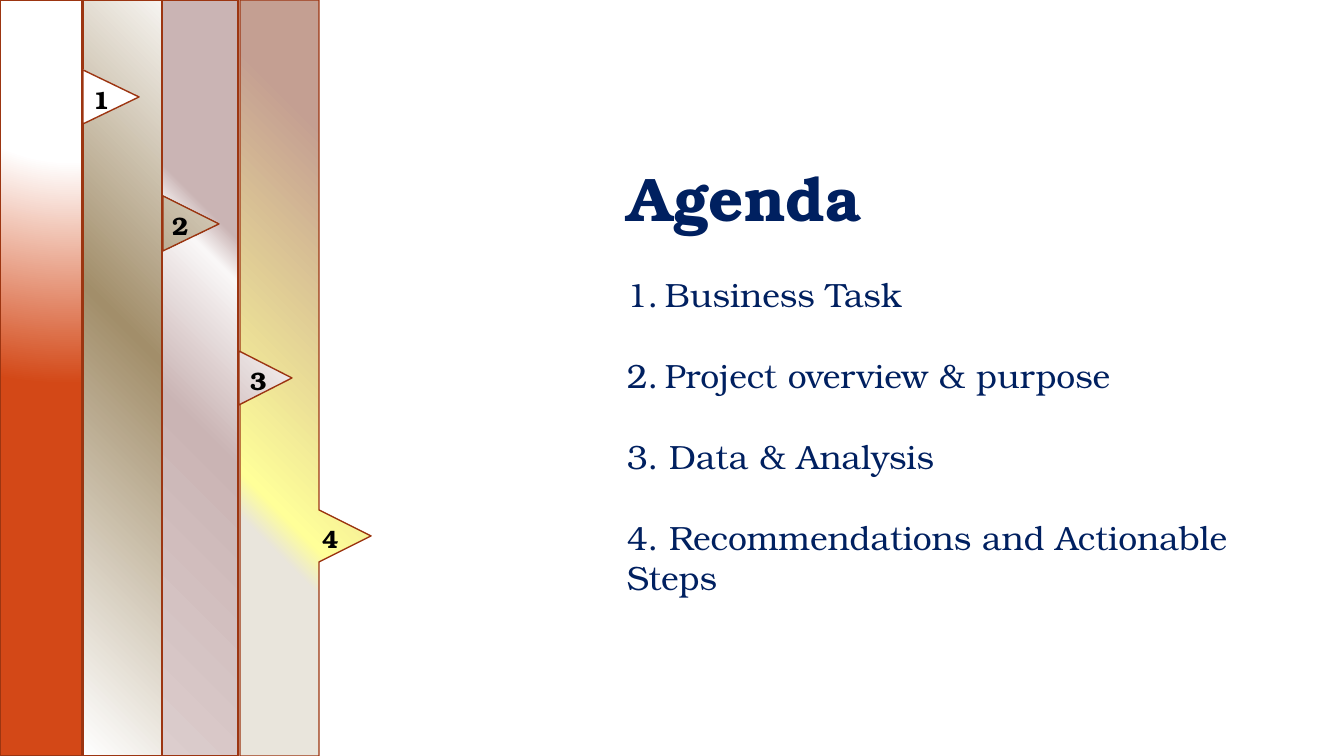
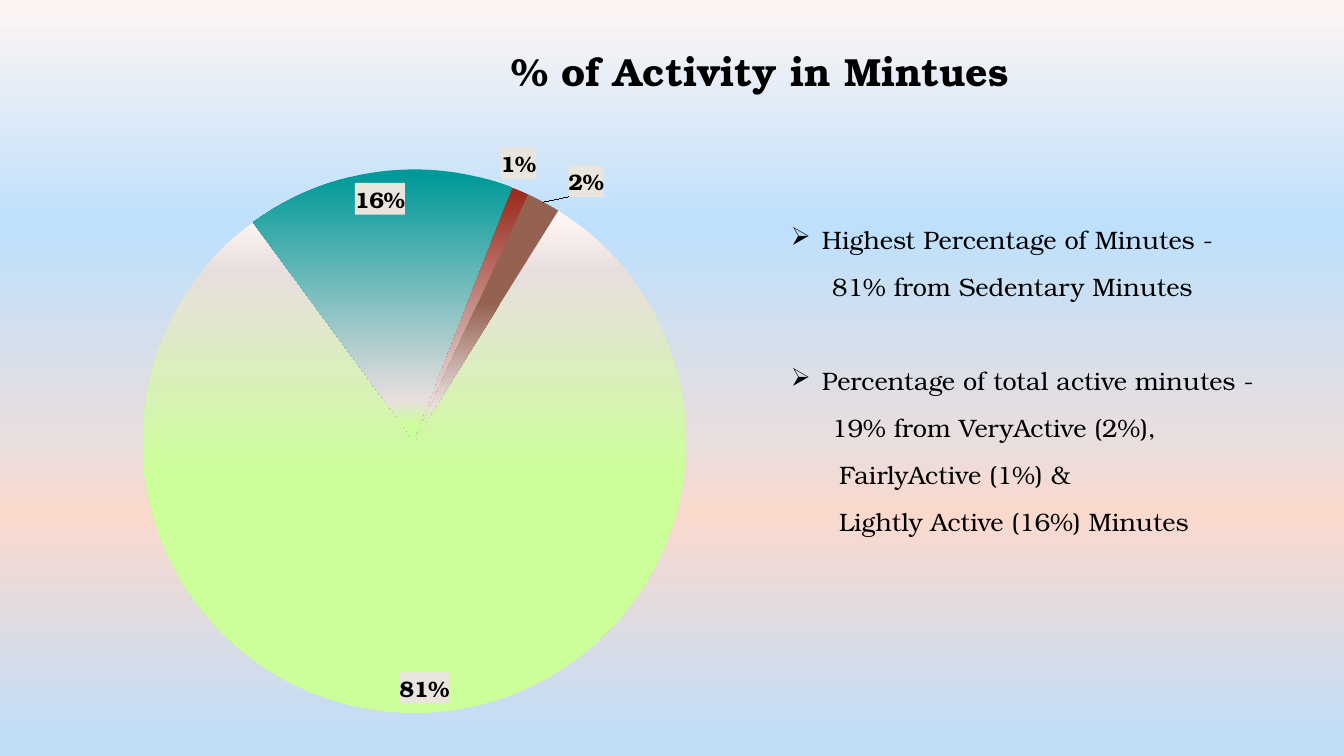
from copy import deepcopy

from lxml import etree
from pptx import Presentation
from pptx.chart.data import CategoryChartData
from pptx.dml.color import RGBColor
from pptx.enum.chart import XL_CHART_TYPE, XL_LABEL_POSITION
from pptx.enum.text import MSO_ANCHOR, MSO_AUTO_SIZE, PP_ALIGN
from pptx.oxml import parse_xml
from pptx.oxml.ns import nsdecls, qn
from pptx.util import Pt

PIE = XL_CHART_TYPE.PIE
BEST_FIT = XL_LABEL_POSITION.BEST_FIT
TOP = MSO_ANCHOR.TOP
FIXED = MSO_AUTO_SIZE.NONE
LEFT, CENTER = PP_ALIGN.LEFT, PP_ALIGN.CENTER

PX = 914400 / 100.8
SLIDE_SIZE = (1344, 756)

THEME = {
    "font": "TeX Gyre Bonum",
    "navy": "002060",
    "black": "000000",
    "rust": "9C3511",
    "sand": "E9E5DC",
    "agenda_title": 44,
    "chart_title": 28,
    "agenda_item": 24,
    "finding": 18,
    "tab_number": 18,
    "chart": 10,
    "chart_label": 16,
}

AGENDA = {
    "title": "Agenda",
    "title_box": (617, 155, 683, 84),
    "items_box": (617, 269, 683, 338),
    "items": [
        {"text": "Business Task", "number": 1, "margin": 38, "hang": 38},
        {"text": "Project overview & purpose", "number": 2, "margin": 38, "hang": 38, "before": 29},
        {"text": "3. Data & Analysis", "before": 29},
        {"text": "4. Recommendations and Actionable Steps", "before": 29},
    ],
}

STRIPS = [
    {"number": "1", "left": 0, "right": 82, "tab": (83, 70, 56, 54), "label_left": 83,
     "gradient": {"stops": [(33, "FFFFFF"), (42, "FFFFFF"), (100, "D34817")],
                  "focus": (50, -80, 50, 180)}},
    {"number": "2", "left": 83, "right": 162, "tab": (163, 196, 56, 55), "label_left": 162,
     "gradient": {"stops": [(2, "FFFFFF"), (47, "A28E6A"), (100, "FFFFFF")],
                  "focus": (100, 0, 0, 100)}},
    {"number": "3", "left": 162, "right": 238, "tab": (239, 351, 53, 54), "label_left": 240,
     "gradient": {"stops": [(33, "CAB4B4"), (38, "F9F7F7"), (59, "CAB4B4"), (100, "DCCDCD")],
                  "angle": 135}},
    {"number": "4", "left": 240, "right": 319, "tab": (319, 510, 52, 52), "label_left": 312,
     "gradient": {"stops": [(20, "C49F92"), (68, "FFFF99"), (73, "E9E5DC")], "angle": 135}},
]

FADE = [(85, "E8DEDE"), (94, "CCFF99")]
ACTIVITY = {
    "title": "% of Activity in Mintues",
    "title_box": (495, 42, 530, 105),
    "background": {"stops": [(0, "FEF5F3"), (30, "BEE0FC"), (58, "E8DEDE"), (68, "FAD9CD"),
                             (98, "C0DEF8")], "angle": 90},
    "chart_box": (50, 54, 1104, 679),
    "plot": {"x": 0.07, "y": 0.17, "w": 0.52, "h": 0.8},
    "first_angle": 32,
    "series": "Series 1",
    "slices": [
        {"category": "1", "value": 0.81, "stops": [(2, "FEF5F3"), (12, "E8DEDE"), (53, "CCFF99")]},
        {"category": "2", "value": 0.16, "stops": [(2, "009999")] + FADE},
        {"category": "3", "value": 0.01, "stops": [(2, "9B2D1F")] + FADE, "shift": (-0.02, -0.01)},
        {"category": "4", "value": 0.02, "stops": [(44, "956251")] + FADE, "shift": (0.02, 0)},
    ],
    "findings_box": (771, 204, 573, 475),
    "findings_insets": (20, 20, 28, 0),
    "findings": [
        {"text": "Highest Percentage of Minutes -", "bullet": "➢", "margin": 31, "hang": 31},
        {"text": "81% from Sedentary Minutes", "margin": 41},
        {"text": "Percentage of total active minutes -", "bullet": "➢", "margin": 31, "hang": 31,
         "before": 34},
        {"text": "19% from VeryActive (2%),", "margin": 41},
        {"text": "FairlyActive (1%) &", "margin": 48},
        {"text": "Lightly Active (16%) Minutes", "margin": 48},
    ],
}


def px(length):
    return round(length * PX)


def box(lengths):
    return [px(length) for length in lengths]


def apply(target, values):
    for name, value in values.items():
        setattr(target, name, value)


def format_font(font, size, color, bold=False):
    apply(font, {"name": THEME["font"], "size": Pt(size), "bold": bold})
    font.color.rgb = RGBColor.from_string(color)


def paint(fill, owner, stops, angle=None, focus=None):
    fill.solid()
    marks = "".join(
        f'<a:gs pos="{position * 1000}"><a:srgbClr val="{color}"/></a:gs>'
        for position, color in stops)
    if focus:
        sides = " ".join(f'{side}="{share * 1000}"' for side, share in zip("ltrb", focus))
        direction = f'<a:path path="circle"><a:fillToRect {sides}/></a:path>'
    else:
        direction = f'<a:lin ang="{angle * 60000}" scaled="0"/>'
    gradient = parse_xml(f'<a:gradFill {nsdecls("a")} rotWithShape="1">'
                         f'<a:gsLst>{marks}</a:gsLst>{direction}</a:gradFill>')
    solid = next(owner.iter(qn("a:solidFill")))
    solid.getparent().replace(solid, gradient)


def add_title(slide, text, place, size, color, alignment):
    title = slide.shapes.title
    apply(title, dict(zip(("left", "top", "width", "height"), box(place))))
    apply(title.text_frame, {"vertical_anchor": TOP, "word_wrap": True, "auto_size": FIXED})
    paragraph = title.text_frame.paragraphs[0]
    paragraph.alignment = alignment
    run = paragraph.add_run()
    run.text = text
    format_font(run.font, size, color, True)


def add_text(slide, place, entries, size, color, bold=False, after=0, insets=None):
    frame = slide.shapes.add_textbox(*box(place)).text_frame
    frame.word_wrap = True
    if insets:
        sides = ("margin_left", "margin_top", "margin_right", "margin_bottom")
        apply(frame, dict(zip(sides, box(insets))))
    for index, entry in enumerate(entries):
        paragraph = frame.add_paragraph() if index else frame.paragraphs[0]
        properties = paragraph._p.get_or_add_pPr()
        properties.set("marL", str(px(entry.get("margin", 0))))
        properties.set("indent", str(-px(entry.get("hang", 0))))
        if "number" in entry:
            etree.SubElement(properties, qn("a:buAutoNum"), type="arabicPeriod",
                             startAt=str(entry["number"]))
        if "bullet" in entry:
            etree.SubElement(properties, qn("a:buChar"), char=entry["bullet"])
        apply(paragraph, {"alignment": LEFT, "space_before": Pt(entry.get("before", 0)),
                          "space_after": Pt(after)})
        run = paragraph.add_run()
        run.text = entry["text"]
        format_font(run.font, size, color, bold)


def add_strip(slide, strip):
    left, right, bottom = strip["left"], strip["right"], SLIDE_SIZE[1]
    tab_left, tab_top, tab_width, tab_height = strip["tab"]
    tab = [(tab_left, tab_top), (tab_left + tab_width, tab_top + tab_height / 2),
           (tab_left, tab_top + tab_height)]
    attached = tab_left == right
    outline = [(right, 0), *(tab if attached else []), (right, bottom), (left, bottom)]
    builder = slide.shapes.build_freeform(left, 0, scale=PX)
    builder.add_line_segments(outline, close=True)
    if not attached:
        builder.move_to(*tab[0])
        builder.add_line_segments(tab[1:], close=True)
    shape = builder.convert_to_shape()
    shape.shadow.inherit = False
    paint(shape.fill, shape._element.spPr, **strip["gradient"])
    shape.line.color.rgb = RGBColor.from_string(THEME["rust"])
    shape.line.width = Pt(1)


def add_agenda(slide):
    add_title(slide, AGENDA["title"], AGENDA["title_box"], THEME["agenda_title"],
              THEME["navy"], LEFT)
    add_text(slide, AGENDA["items_box"], AGENDA["items"], THEME["agenda_item"], THEME["navy"])
    for strip in reversed(STRIPS):
        add_strip(slide, strip)
    for strip in STRIPS:
        middle = strip["tab"][1] + strip["tab"][3] / 2
        add_text(slide, (strip["label_left"], middle - 18, 50, 40), [{"text": strip["number"]}],
                 THEME["tab_number"], THEME["black"], True)


def label_slices(series):
    labels = series.data_labels
    apply(labels, {"show_value": True, "show_percentage": False, "number_format": "0%",
                   "number_format_is_linked": False, "position": BEST_FIT})
    format_font(labels.font, THEME["chart_label"], THEME["black"], True)
    group = series._element.find(qn("c:dLbls"))
    group.find(qn("c:numFmt")).addnext(parse_xml(
        f'<c:spPr {nsdecls("c", "a")}><a:solidFill><a:srgbClr val="{THEME["sand"]}"/>'
        '</a:solidFill></c:spPr>'))
    shared = [part for part in group if part.tag != qn("c:showLeaderLines")]
    shifted = [(index, entry["shift"]) for index, entry in enumerate(ACTIVITY["slices"])
               if "shift" in entry]
    for place, (index, (x, y)) in enumerate(shifted):
        label = parse_xml(
            f'<c:dLbl {nsdecls("c")}><c:idx val="{index}"/><c:layout><c:manualLayout>'
            f'<c:x val="{x}"/><c:y val="{y}"/></c:manualLayout></c:layout></c:dLbl>')
        label.extend(deepcopy(part) for part in shared)
        group.insert(place, label)


def add_pie(slide):
    slices = ACTIVITY["slices"]
    data = CategoryChartData(number_format="0%")
    data.categories = [entry["category"] for entry in slices]
    data.add_series(ACTIVITY["series"], [entry["value"] for entry in slices])
    chart = slide.shapes.add_chart(PIE, *box(ACTIVITY["chart_box"]), data).chart
    apply(chart, {"has_legend": False, "has_title": False})
    format_font(chart.font, THEME["chart"], THEME["black"])
    chart._chartSpace.find(qn("c:chart")).addnext(parse_xml(
        f'<c:spPr {nsdecls("c", "a")}><a:noFill/><a:ln><a:noFill/></a:ln></c:spPr>'))
    plot = chart.plots[0]
    plot.vary_by_categories = True
    series = plot.series[0]
    for index, entry in enumerate(slices):
        point = series.points[index].format
        point.line.fill.background()
        point.fill.solid()
        paint(point.fill, series._element.findall(qn("c:dPt"))[index], entry["stops"], 90)
    label_slices(series)
    pie = plot._element
    etree.SubElement(pie, qn("c:firstSliceAng"), val=str(ACTIVITY["first_angle"]))
    area = pie.getparent()
    for layout in area.findall(qn("c:layout")):
        area.remove(layout)
    sizes = "".join(f'<c:{side} val="{share}"/>' for side, share in ACTIVITY["plot"].items())
    area.insert(0, parse_xml(
        f'<c:layout {nsdecls("c")}><c:manualLayout><c:layoutTarget val="inner"/>'
        f'<c:xMode val="edge"/><c:yMode val="edge"/>{sizes}</c:manualLayout></c:layout>'))


def add_activity(slide):
    paint(slide.background.fill, slide._element, **ACTIVITY["background"])
    add_title(slide, ACTIVITY["title"], ACTIVITY["title_box"], THEME["chart_title"],
              THEME["black"], CENTER)
    add_pie(slide)
    add_text(slide, ACTIVITY["findings_box"], ACTIVITY["findings"], THEME["finding"],
             THEME["black"], after=12, insets=ACTIVITY["findings_insets"])


def main():
    deck = Presentation()
    deck.slide_width, deck.slide_height = box(SLIDE_SIZE)
    for fill_slide in (add_agenda, add_activity):
        fill_slide(deck.slides.add_slide(deck.slide_layouts[5]))
    deck.save("out.pptx")


if __name__ == "__main__":
    main()
